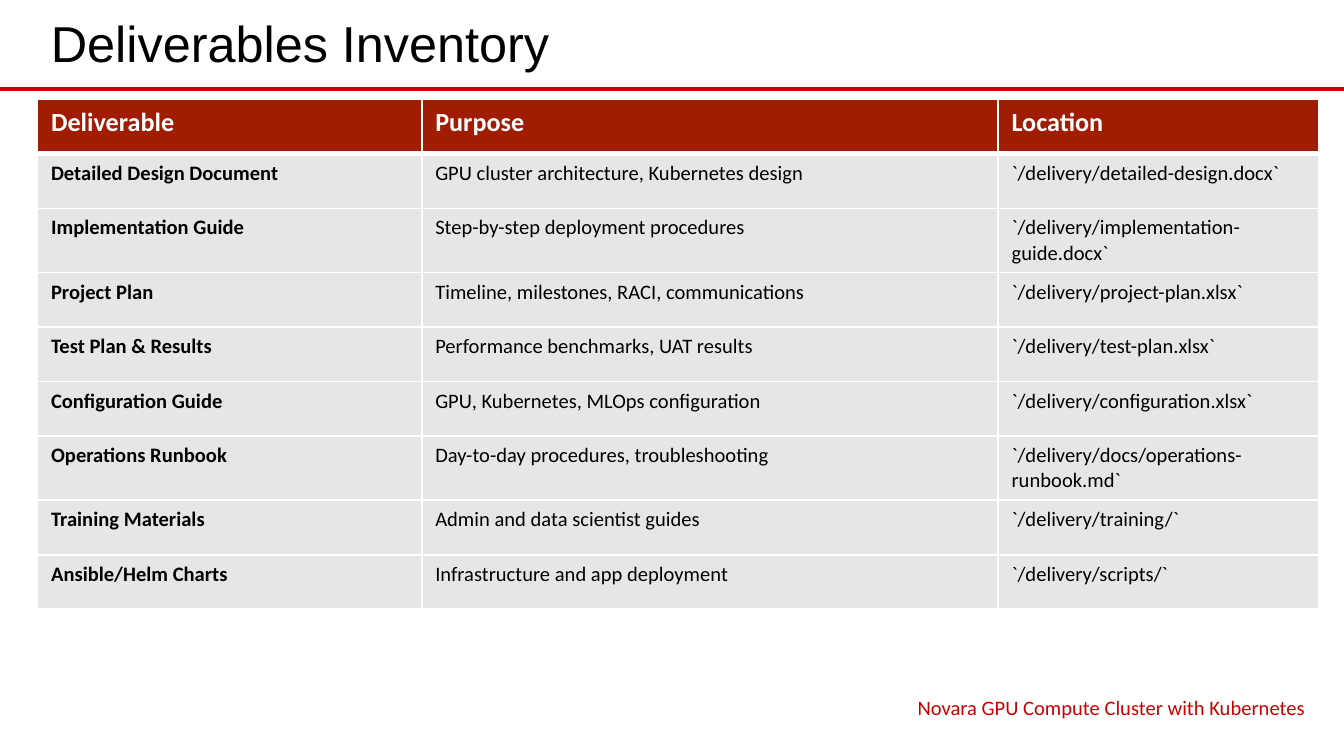
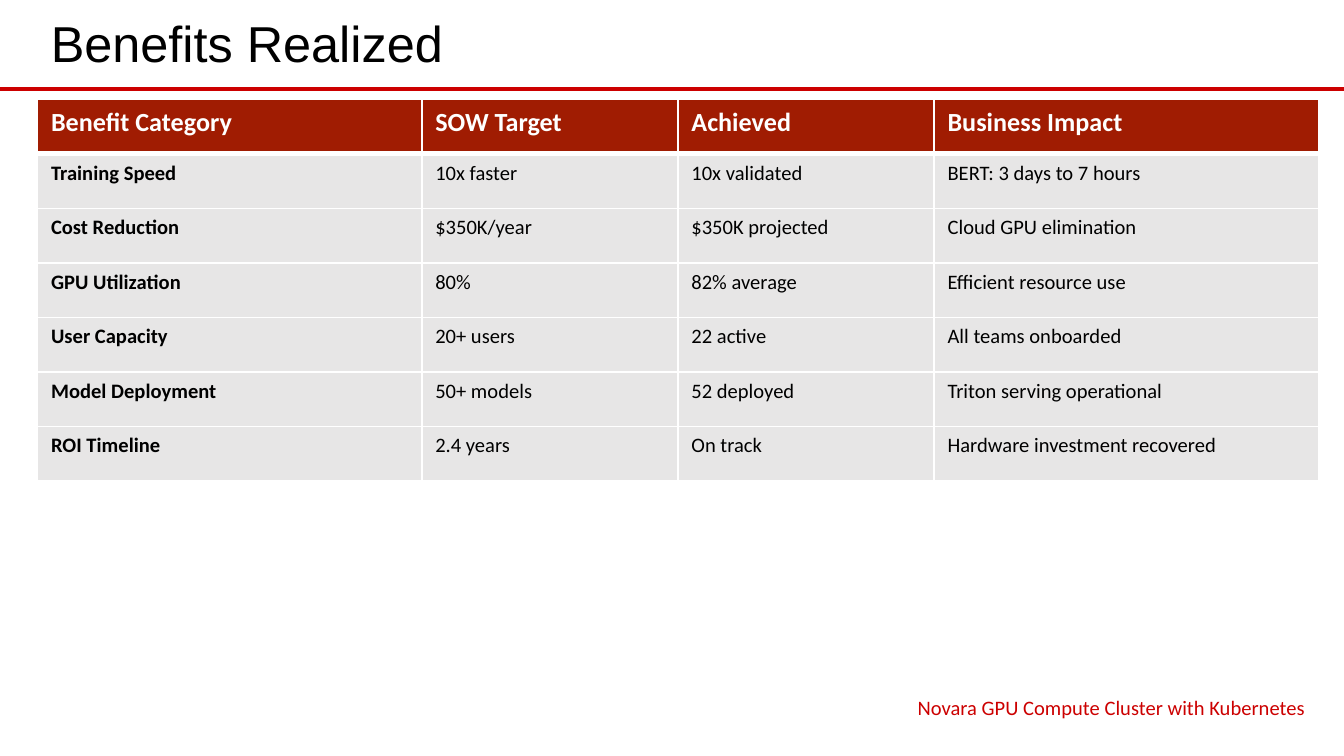
from typing import NamedTuple

from lxml.etree import SubElement
from pptx import Presentation
from pptx.dml.color import RGBColor
from pptx.enum.shapes import MSO_CONNECTOR as Conn
from pptx.enum.text import MSO_ANCHOR as Anchor, PP_ALIGN as Align
from pptx.oxml.ns import qn
from pptx.util import Inches, Pt

COLORS = {
    "white": "FFFFFF",
    "black": "000000",
    "accent": "CC0000",
    "header": "A01C02",
    "body": "E7E6E6",
}
SLIDE_WIDTH = Inches(10)
SLIDE_HEIGHT = SLIDE_WIDTH * 9 // 16
LEFT, WIDTH = Inches(0.28), Inches(9.53)
TABLE_TOP, ROW_HEIGHT = Inches(0.74), Inches(3.65) // 9
FOOTER = "Novara GPU Compute Cluster with Kubernetes"


class TextStyle(NamedTuple):
    font: str
    size: float
    color: str
    bold: bool = False


class TableSlide(NamedTuple):
    title: str
    shares: list[float]
    rows: list[list[str]]


TITLE = TextStyle("Arial", 27, "black")
FOOT = TextStyle("Calibri", 11, "accent")
HEAD = TextStyle("Calibri", 14, "white", True)
LABEL = TextStyle("Calibri", 11, "black", True)
CELL = TextStyle("Calibri", 11, "black")

SLIDES = [
    TableSlide("Deliverables Inventory", [0.3, 0.45, 0.25], [
        ["Deliverable", "Purpose", "Location"],
        ["Detailed Design Document", "GPU cluster architecture, Kubernetes design",
         "`/delivery/detailed-design.docx`"],
        ["Implementation Guide", "Step-by-step deployment procedures",
         "`/delivery/implementation-guide.docx`"],
        ["Project Plan", "Timeline, milestones, RACI, communications",
         "`/delivery/project-plan.xlsx`"],
        ["Test Plan & Results", "Performance benchmarks, UAT results",
         "`/delivery/test-plan.xlsx`"],
        ["Configuration Guide", "GPU, Kubernetes, MLOps configuration",
         "`/delivery/configuration.xlsx`"],
        ["Operations Runbook", "Day-to-day procedures, troubleshooting",
         "`/delivery/docs/operations-runbook.md`"],
        ["Training Materials", "Admin and data scientist guides",
         "`/delivery/training/`"],
        ["Ansible/Helm Charts", "Infrastructure and app deployment",
         "`/delivery/scripts/`"],
    ]),
    TableSlide("Benefits Realized", [0.3, 0.2, 0.2, 0.3], [
        ["Benefit Category", "SOW Target", "Achieved", "Business Impact"],
        ["Training Speed", "10x faster", "10x validated", "BERT: 3 days to 7 hours"],
        ["Cost Reduction", "$350K/year", "$350K projected", "Cloud GPU elimination"],
        ["GPU Utilization", "80%", "82% average", "Efficient resource use"],
        ["User Capacity", "20+ users", "22 active", "All teams onboarded"],
        ["Model Deployment", "50+ models", "52 deployed", "Triton serving operational"],
        ["ROI Timeline", "2.4 years", "On track", "Hardware investment recovered"],
    ]),
]


def rgb(name: str) -> RGBColor:
    return RGBColor.from_string(COLORS[name])


def write(tf, text: str, style: TextStyle) -> None:
    tf.text = text
    for r in tf.paragraphs[0].runs:
        r.font.name = style.font
        r.font.size = Pt(style.size)
        r.font.bold = style.bold
        r.font.color.rgb = rgb(style.color)


def add_text(s, text: str, style: TextStyle, left: int, top: int, width: int,
             height: int, anchor: Anchor, align: Align) -> None:
    tf = s.shapes.add_textbox(left, top, width, height).text_frame
    tf.word_wrap = True
    tf.vertical_anchor = anchor
    tf.margin_bottom = Inches(0.08)
    write(tf, text, style)
    tf.paragraphs[0].alignment = align


def add_rule(s) -> None:
    y = Inches(0.66)
    line = s.shapes.add_connector(Conn.STRAIGHT, 0, y, SLIDE_WIDTH, y)
    line.line.color.rgb = rgb("accent")
    line.line.width = Pt(2.25)
    SubElement(line._element.spPr, qn("a:effectLst"))


def set_borders(cell, bottom: float) -> None:
    tc_pr = cell._tc.get_or_add_tcPr()
    for side, width in (("L", 1), ("R", 1), ("T", 1), ("B", bottom)):
        ln = SubElement(tc_pr, qn(f"a:ln{side}"), w=str(Pt(width)))
        fill = SubElement(ln, qn("a:solidFill"))
        SubElement(fill, qn("a:srgbClr"), val=COLORS["white"])


def add_grid(s, data: TableSlide) -> None:
    count = len(data.rows)
    table = s.shapes.add_table(count, len(data.shares), LEFT, TABLE_TOP,
                               WIDTH, ROW_HEIGHT * count).table
    table.horz_banding = False
    for column, share in zip(table.columns, data.shares):
        column.width = round(WIDTH * share)
    for i, texts in enumerate(data.rows):
        table.rows[i].height = ROW_HEIGHT
        for j, text in enumerate(texts):
            cell = table.cell(i, j)
            set_borders(cell, 1 if i else 3)
            cell.margin_bottom = Inches(0.06)
            cell.fill.solid()
            cell.fill.fore_color.rgb = rgb("body" if i else "header")
            write(cell.text_frame, text, HEAD if i == 0 else CELL if j else LABEL)


def add_slide(prs, data: TableSlide) -> None:
    s = prs.slides.add_slide(prs.slide_layouts[6])
    s.background.fill.solid()
    s.background.fill.fore_color.rgb = rgb("white")
    add_rule(s)
    add_text(s, data.title, TITLE, LEFT, Inches(0.04), WIDTH, Inches(0.58),
             Anchor.MIDDLE, Align.LEFT)
    add_grid(s, data)
    add_text(s, FOOTER, FOOT, Inches(6.29), Inches(5.12), Inches(3.52),
             Inches(0.26), Anchor.TOP, Align.RIGHT)


def main() -> None:
    prs = Presentation()
    prs.slide_width, prs.slide_height = SLIDE_WIDTH, SLIDE_HEIGHT
    for data in SLIDES:
        add_slide(prs, data)
    prs.save("out.pptx")


if __name__ == "__main__":
    main()
